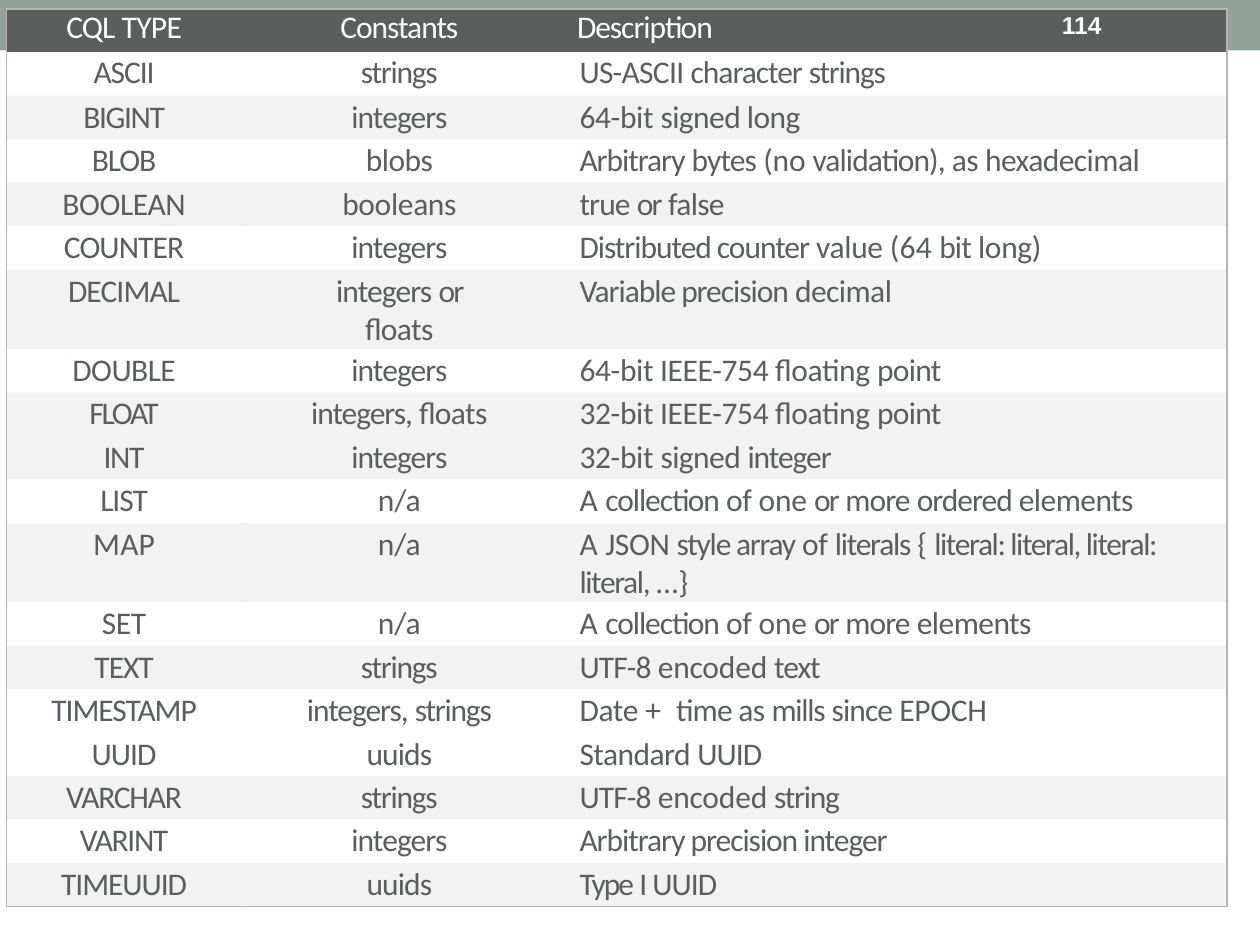
from itertools import groupby

from lxml import etree
from pptx import Presentation, util as u
from pptx.dml.color import RGBColor
from pptx.enum import shapes, text
from pptx.oxml import ns

SAGE = RGBColor(0x93, 0xA2, 0x99)
SLATE = RGBColor(0x5A, 0x5F, 0x5E)
GREY = RGBColor(0xB4, 0xB4, 0xB4)
WHITE = RGBColor(0xFF, 0xFF, 0xFF)
BLACK = RGBColor(0x00, 0x00, 0x00)

HEADER = ("CQL TYPE", "Constants", "Description")
TYPES = [
    ("ASCII", "strings", "US-ASCII character strings"),
    ("BIGINT", "integers", "64-bit signed long"),
    ("BLOB", "blobs", "Arbitrary bytes (no validation), as hexadecimal"),
    ("BOOLEAN", "booleans", "true or false"),
    ("COUNTER", "integers", "Distributed counter value (64 bit long)"),
    ("DECIMAL", "integers or floats", "Variable precision decimal"),
    ("DOUBLE", "integers", "64-bit IEEE-754 floating point"),
    ("FLOAT", "integers, floats", "32-bit IEEE-754 floating point"),
    ("INT", "integers", "32-bit signed integer"),
    ("LIST", "n/a", "A collection of one or more ordered elements"),
    ("MAP", "n/a", "A JSON style array of literals { literal: literal, literal: literal, …}"),
    ("SET", "n/a", "A collection of one or more elements"),
    ("TEXT", "strings", "UTF-8 encoded text"),
    ("TIMESTAMP", "integers, strings", "Date + time as mills since EPOCH"),
    ("UUID", "uuids", "Standard UUID"),
    ("VARCHAR", "strings", "UTF-8 encoded string"),
    ("VARINT", "integers", "Arbitrary precision integer"),
    ("TIMEUUID", "uuids", "Type I UUID"),
]
SHADED = {"BIGINT", "BOOLEAN", "DECIMAL", "FLOAT", "INT", "MAP", "TEXT", "VARCHAR", "TIMEUUID"}

DEFAULT_SPACING = -0.6
WORDS_BY_SPACING = {
    2.3: "+",
    0.1: "A (64 MAP …}",
    0: "{",
    -0.1: "(no one n/a encoded",
    -0.2: "64-bit 32-bit IEEE-754 floating BOOLEAN booleans value long) of JSON SET Date EPOCH",
    -0.3: "signed long blobs hexadecimal decimal DOUBLE floats elements Standard",
    -0.4: "TYPE US-ASCII as time false point",
    -0.5: "CQL integers bytes validation), true COUNTER bit DECIMAL more UTF-8 since UUID uuids",
    -0.7: "strings string style array literals mills VARCHAR",
    -0.8: "BIGINT INT VARINT literal: literal,",
    -1: "or",
    -1.1: "Type",
    -1.2: "I",
    -1.3: "FLOAT",
}
SPACING = {word: points for points, words in WORDS_BY_SPACING.items() for word in words.split()}


def write(frame, content, *, font, size, color, bold=False, align=None,
          before=None, indent=0, spaced=False):
    """Write one formatted paragraph, spacing its letters word by word if asked."""
    para = frame.paragraphs[0]
    para.alignment = align
    if before is not None:
        para.space_before = u.Pt(before)
    if indent:
        properties = para._p.get_or_add_pPr()
        properties.set("marL", str(u.Inches(indent)))
        properties.set("indent", "0")
    words = content.split(" ")
    pieces = [word + " " for word in words[:-1]] + words[-1:]
    groups = groupby(pieces, lambda piece: SPACING.get(piece.strip(), DEFAULT_SPACING))
    spans = [(points, "".join(group)) for points, group in groups] if spaced else [(0, content)]
    for points, part in spans:
        span = para.add_run()
        span.text = part
        span.font.name, span.font.size, span.font.bold = font, u.Pt(size), bold
        span.font.color.rgb = color
        if spaced:
            span._r.get_or_add_rPr().set("spc", str(round(points * 100)))


class Builder:
    """Hold the type style and the current slide."""

    def __init__(self, page):
        self.page = page
        self.table_font = "Calibri"
        self.number_font = "Arial"

    def band(self, left, top, width, height, color):
        """Draw a plain filled bar."""
        bar = self.page.shapes.add_shape(
            shapes.MSO_SHAPE.RECTANGLE, *map(u.Inches, (left, top, width, height)))
        bar.shadow.inherit = False
        bar.fill.solid()
        bar.fill.fore_color.rgb = color
        bar.line.fill.background()

    def page_number(self, number, left, top, width, height):
        """Place the page number."""
        box = self.page.shapes.add_textbox(*map(u.Inches, (left, top, width, height)))
        box.text_frame.word_wrap = True
        box.text_frame.vertical_anchor = text.MSO_ANCHOR.MIDDLE
        write(box.text_frame, number, font=self.number_font, size=14, color=WHITE, bold=True)

    def borders(self, cell, outer):
        """Line the outer sides of a cell and clear the rest."""
        properties = cell._tc.get_or_add_tcPr()
        for side in "LRTB":
            line = etree.SubElement(properties, ns.qn(f"a:ln{side}"))
            if side in outer:
                line.set("w", str(u.Pt(1)))
                fill = etree.SubElement(line, ns.qn("a:solidFill"))
                etree.SubElement(fill, ns.qn("a:srgbClr"), val=str(GREY))
            else:
                etree.SubElement(line, ns.qn("a:noFill"))

    def fill(self, cell, color=None, opacity=100):
        """Fill a cell, or leave it clear when no color is given."""
        if color is None:
            cell.fill.background()
            return
        cell.fill.solid()
        cell.fill.fore_color.rgb = color
        if opacity < 100:
            tint = cell._tc.tcPr.find(".//" + ns.qn("a:solidFill") + "[last()]/" + ns.qn("a:srgbClr"))
            tint = cell._tc.tcPr.find(ns.qn("a:solidFill")).find(ns.qn("a:srgbClr"))
            etree.SubElement(tint, ns.qn("a:alpha"), val=str(opacity * 1000))

    def table(self, rows, left, top, height, widths, row_total):
        """Draw the table of types, the first row as its header."""
        holder = self.page.shapes.add_table(
            len(rows), len(widths), u.Inches(left), u.Inches(top),
            u.Inches(sum(widths)), u.Inches(row_total))
        grid = holder.table
        grid.first_row = grid.horz_banding = False
        for column, width in zip(grid.columns, widths):
            column.width = u.Inches(width)
        for r, row in enumerate(rows):
            header = r == 0
            for c, content in enumerate(row):
                cell = grid.cell(r, c)
                cell.margin_left = cell.margin_right = cell.margin_bottom = 0
                cell.margin_top = u.Inches(0 if header else 0.01 if r == 1 else 0.02)
                sides = {"L": c == 0, "R": c == len(widths) - 1,
                         "T": header, "B": r == len(rows) - 1}
                self.borders(cell, [side for side, shown in sides.items() if shown])
                if header:
                    self.fill(cell, SLATE)
                elif row[0] in SHADED:
                    self.fill(cell, BLACK, opacity=5)
                else:
                    self.fill(cell)
                write(cell.text_frame, content, font=self.table_font, size=18,
                      color=WHITE if header else SLATE,
                      align=text.PP_ALIGN.LEFT if c == 2 else text.PP_ALIGN.CENTER,
                      before=0.5 if header else 0.9 if r == 1 else 2.1,
                      indent=(0, 0.47, 0.63 if header else 0.65)[c], spaced=True)
        holder.height = u.Inches(height)


def main():
    """Build the slide and save it."""
    deck = Presentation()
    deck.slide_width, deck.slide_height = u.Inches(10), u.Inches(7.5)
    builder = Builder(deck.slides.add_slide(deck.slide_layouts[6]))
    builder.band(0, 0, 10, 0.4, SAGE)
    builder.table([HEADER] + TYPES, left=0.05, top=0.07, height=7.11,
                  widths=(1.87, 2.03, 5.79), row_total=6.56)
    builder.page_number("114", 8.33, 0.02, 1.17, 0.36)
    deck.save("out.pptx")


if __name__ == "__main__":
    main()
